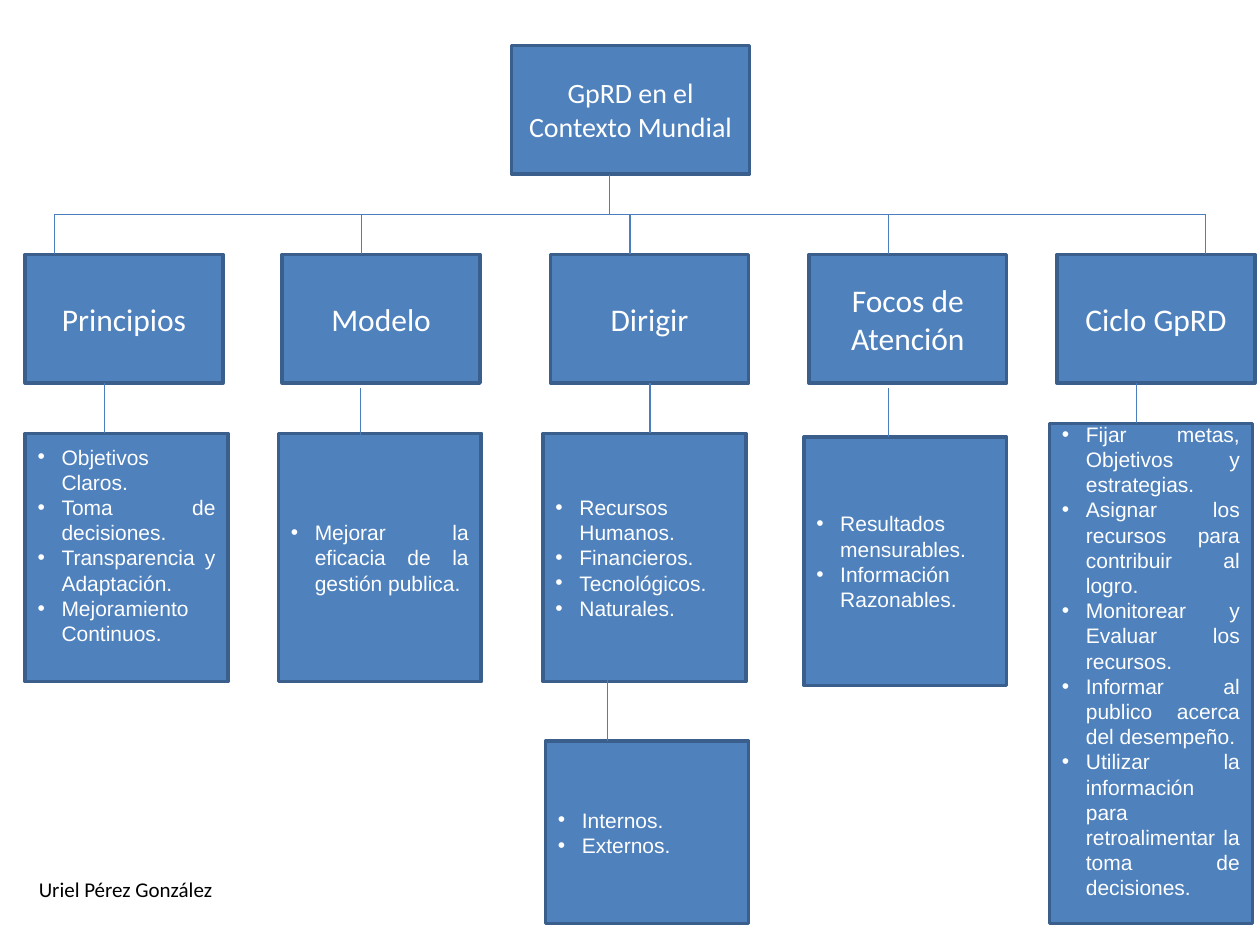
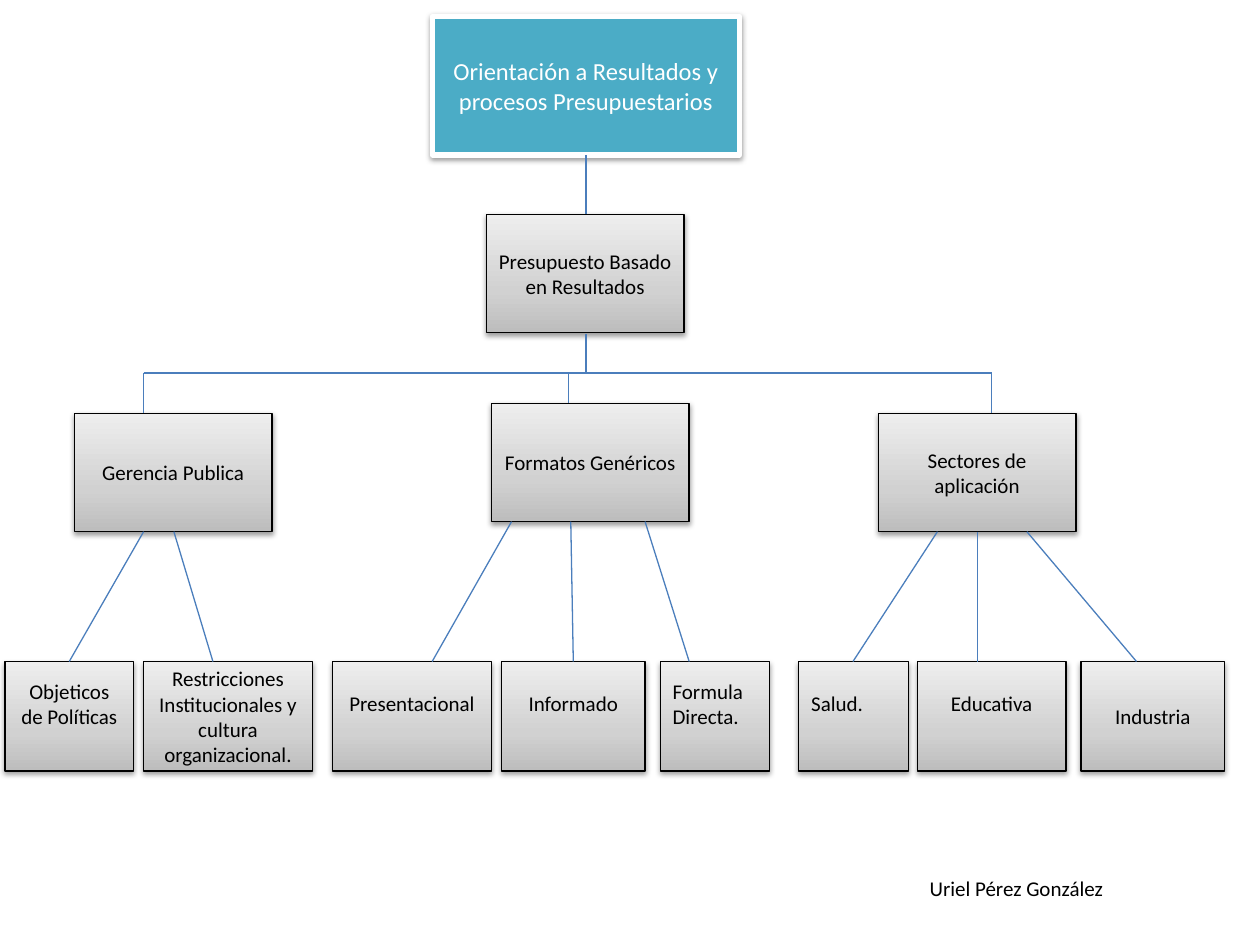
from lxml.etree import SubElement
from pptx import Presentation
from pptx.dml.color import RGBColor
from pptx.enum.shapes import MSO_CONNECTOR as Connector, MSO_SHAPE as Preset
from pptx.enum.text import MSO_ANCHOR as Anchor, MSO_AUTO_SIZE as AutoSize, PP_ALIGN as Align
from pptx.oxml.ns import qn
from pptx.util import Pt

PX = 9144
TITLE_ONLY = 5
BLUE, TEAL, WHITE, BLACK = "4F81BD", "4BACC6", "FFFFFF", "000000"
LINK_BLUE = "4B7EBC"
SILVER = [(0, "BDBDBD"), (35, "D1D1D1"), (100, "EEEEEE")]
AUTHOR = "Uriel Pérez González"
EMPTY_LINE = 20


def px(*lengths):
    return [length * PX for length in lengths]


def colour(hex_code):
    return RGBColor.from_string(hex_code)


class Chart:
    LOOKS = {
        "blue": (BLUE, "3A5F8C", 2, WHITE, False),
        "teal": (TEAL, WHITE, 3, WHITE, True),
        "silver": (SILVER, BLACK, 0.75, BLACK, True),
    }

    def __init__(self):
        self.deck = Presentation()
        self.deck.slide_width, self.deck.slide_height = px(1000, 750)

    def new_slide(self):
        self.slide = self.deck.slides.add_slide(self.deck.slide_layouts[TITLE_ONLY])

    def title(self, area, text, size, look, preset="rect"):
        heading = self.slide.shapes.title
        heading.left, heading.top, heading.width, heading.height = px(*area)
        geometry = SubElement(heading.element.spPr, qn("a:prstGeom"), prst=preset)
        SubElement(geometry, qn("a:avLst"))
        self.paint(heading, look)
        self.label(heading, text, size, look)

    def node(self, area, text, size, look, align=Align.CENTER, lift=0):
        box = self.slide.shapes.add_shape(Preset.RECTANGLE, *px(*area))
        self.paint(box, look)
        self.label(box, text, size, look, align, lift=lift)

    def bullets(self, area, items, lift=0):
        box = self.slide.shapes.add_shape(Preset.RECTANGLE, *px(*area))
        self.paint(box, "blue")
        self.label(box, "\n".join(items), 12, "blue", Align.JUSTIFY, "Arial", lift, True)

    def link(self, *ends):
        line = self.slide.shapes.add_connector(Connector.STRAIGHT, *px(*ends))
        line.line.color.rgb = colour(LINK_BLUE)
        line.line.width = Pt(0.75)
        SubElement(line.element.spPr, qn("a:effectLst"))

    def author(self, left, top):
        credit = self.slide.shapes.add_textbox(*px(left, top, 160, 30))
        frame = credit.text_frame
        frame.word_wrap = False
        frame.auto_size = AutoSize.SHAPE_TO_FIT_TEXT
        frame.text = AUTHOR
        self.style(frame.paragraphs[0], 12, BLACK)

    def paint(self, shape, look):
        fill, edge, weight, _, shadow = self.LOOKS[look]
        if isinstance(fill, str):
            shape.fill.solid()
            shape.fill.fore_color.rgb = colour(fill)
        else:
            self.gradient(shape, fill)
        shape.line.color.rgb = colour(edge)
        shape.line.width = Pt(weight)
        shape.shadow.inherit = False
        if shadow:
            effects = shape.element.spPr.find(qn("a:effectLst"))
            outer = SubElement(effects, qn("a:outerShdw"), blurRad="40000", dist="20000",
                               dir="5400000", rotWithShape="0")
            tone = SubElement(outer, qn("a:srgbClr"), val=BLACK)
            SubElement(tone, qn("a:alpha"), val="38000")

    def gradient(self, shape, stops):
        shape.fill.gradient()
        shape.fill.gradient_angle = 90
        ramp = shape.element.spPr.find(".//" + qn("a:gsLst"))
        for old in list(ramp):
            ramp.remove(old)
        for percent, tone in stops:
            stop = SubElement(ramp, qn("a:gs"), pos=str(percent * 1000))
            SubElement(stop, qn("a:srgbClr"), val=tone)

    def label(self, shape, text, size, look, align=Align.CENTER, font="Calibri",
              lift=0, bulleted=False):
        frame = shape.text_frame
        frame.word_wrap = True
        frame.auto_size = AutoSize.NONE
        frame.vertical_anchor = Anchor.MIDDLE
        frame.margin_left, frame.margin_right = px(10, 10)
        frame.margin_top, frame.margin_bottom = px(5, 5 + lift)
        frame.text = text
        for paragraph in frame.paragraphs:
            if bulleted:
                self.bullet(paragraph)
            paragraph.alignment = align
            self.style(paragraph, size, self.LOOKS[look][3], font)

    def bullet(self, paragraph):
        properties = paragraph._p.get_or_add_pPr()
        properties.set("marL", str(19 * PX))
        properties.set("indent", str(-19 * PX))
        SubElement(properties, qn("a:buFont"), typeface="Arial")
        SubElement(properties, qn("a:buChar"), char="•")

    def style(self, paragraph, size, tone, font="Calibri"):
        for run in paragraph.runs:
            run.font.size = Pt(size)
            run.font.name = font
            run.font.color.rgb = colour(tone)


def world_context(chart):
    chart.new_slide()
    chart.title((406, 36, 189, 102), "GpRD en el Contexto Mundial", 16, "blue")

    topics = [(20, "Principios"), (224, "Modelo"), (437, "Dirigir"),
              (642, "Focos de Atención"), (839, "Ciclo GpRD")]
    for left, topic in topics:
        chart.node((left, 202, 157, 102), topic, 18, "blue")

    details = [
        (20, 344, 197, EMPTY_LINE, ["Objetivos Claros.", "Toma de decisiones.",
                                    "Transparencia y Adaptación.",
                                    "Mejoramiento Continuos."]),
        (221, 344, 197, 0, ["Mejorar la eficacia de la gestión publica."]),
        (431, 344, 197, 0, ["Recursos Humanos.", "Financieros.", "Tecnológicos.",
                            "Naturales."]),
        (638, 347, 197, 0, ["Resultados mensurables.", "Información Razonables."]),
        (833, 336, 397, EMPTY_LINE, ["Fijar metas, Objetivos y estrategias.",
                                     "Asignar los recursos para contribuir al logro.",
                                     "Monitorear y Evaluar los recursos.",
                                     "Informar al publico acerca del desempeño.",
                                     "Utilizar la información para retroalimentar "
                                     "la toma de decisiones."]),
        (433, 588, 145, 0, ["Internos.", "Externos."]),
    ]
    for left, top, height, lift, items in details:
        chart.bullets((left, top, 161, height), items, lift)

    chart.link(484, 139, 484, 170)
    chart.link(43, 170, 957, 170)
    for x in (43, 287, 500, 705, 957):
        chart.link(x, 170, x, 202)
    for x, start, end in [(83, 304, 344), (286, 308, 347), (516, 304, 344),
                          (705, 308, 347), (902, 304, 336), (482, 540, 588)]:
        chart.link(x, start, x, end)
    chart.author(21, 691)


def budget_processes(chart):
    chart.new_slide()
    chart.title((343, 13, 244, 110), "Orientación a Resultados y procesos Presupuestarios",
                14, "teal", "roundRect")

    for left, top, branch in [(386, 170, "Presupuesto Basado en Resultados"),
                              (59, 328, "Gerencia Publica"),
                              (390, 320, "Formatos Genéricos"),
                              (697, 328, "Sectores de aplicación")]:
        chart.node((left, top, 157, 94), branch, 12, "silver")

    leaves = [
        (4, 102, "Objeticos de Políticas", Align.CENTER, EMPTY_LINE),
        (114, 134, "Restricciones Institucionales y cultura organizacional.", Align.CENTER, 0),
        (264, 126, "Presentacional", Align.CENTER, EMPTY_LINE),
        (398, 114, "Informado", Align.CENTER, EMPTY_LINE),
        (524, 87, "Formula\nDirecta.", Align.JUSTIFY, EMPTY_LINE),
        (634, 87, "Salud.", Align.JUSTIFY, EMPTY_LINE),
        (728, 118, "Educativa", Align.CENTER, EMPTY_LINE),
        (858, 114, "Industria", Align.CENTER, 0),
    ]
    for left, width, leaf, align, lift in leaves:
        chart.node((left, 525, width, 87), leaf, 12, "silver", align, lift)

    chart.link(465, 123, 465, 170)
    chart.link(465, 265, 465, 296)
    chart.link(114, 296, 787, 296)
    for x, branch_top in [(114, 328), (451, 320), (787, 328)]:
        chart.link(x, 296, x, branch_top)
    for branch_bottom, spokes in [(422, [(114, 55), (138, 169)]),
                                  (414, [(406, 343), (453, 455), (512, 547)]),
                                  (422, [(744, 677), (776, 776), (815, 902)])]:
        for start, end in spokes:
            chart.link(start, branch_bottom, end, 525)
    chart.author(728, 690)


def main():
    chart = Chart()
    world_context(chart)
    budget_processes(chart)
    chart.deck.save("out.pptx")


if __name__ == "__main__":
    main()
